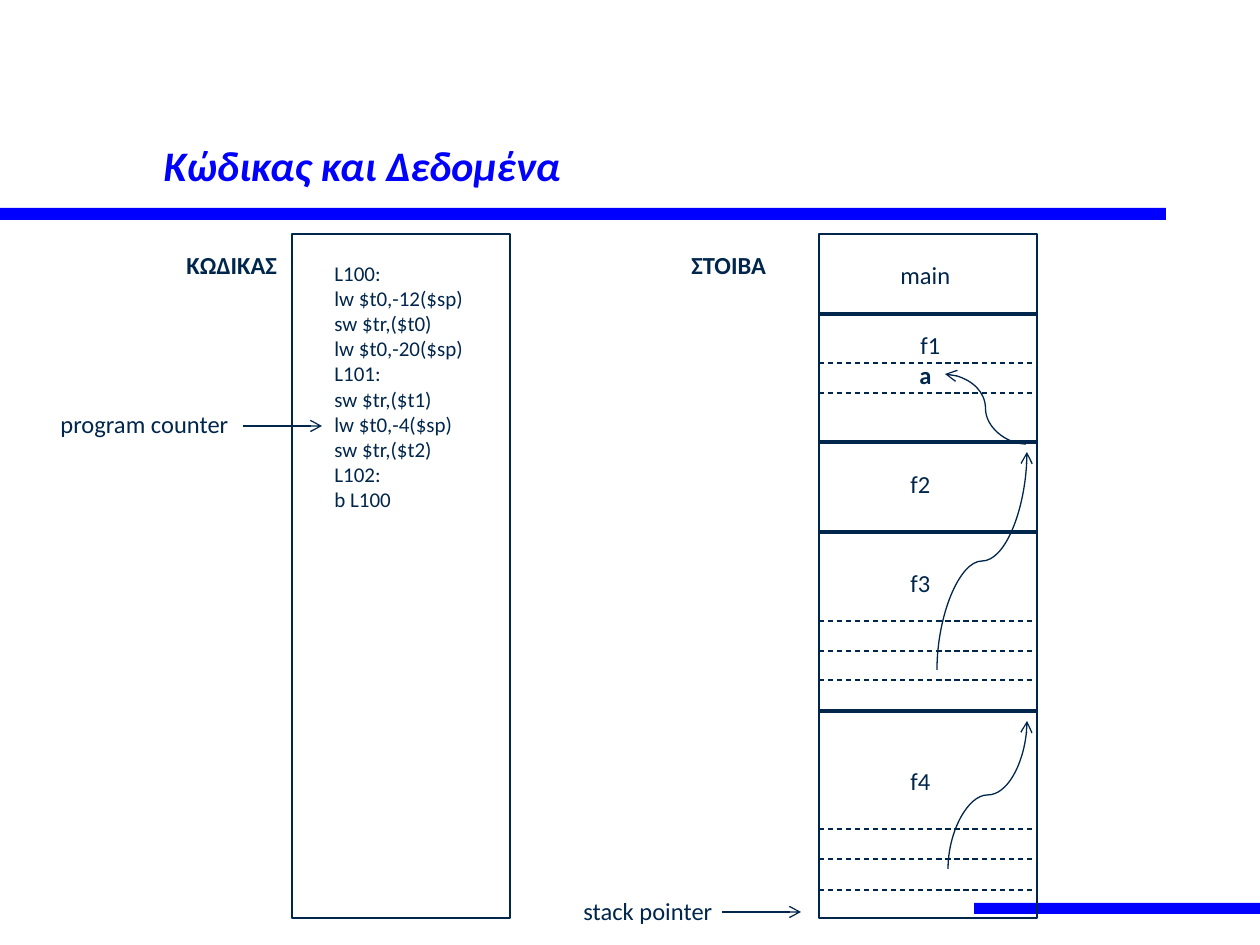
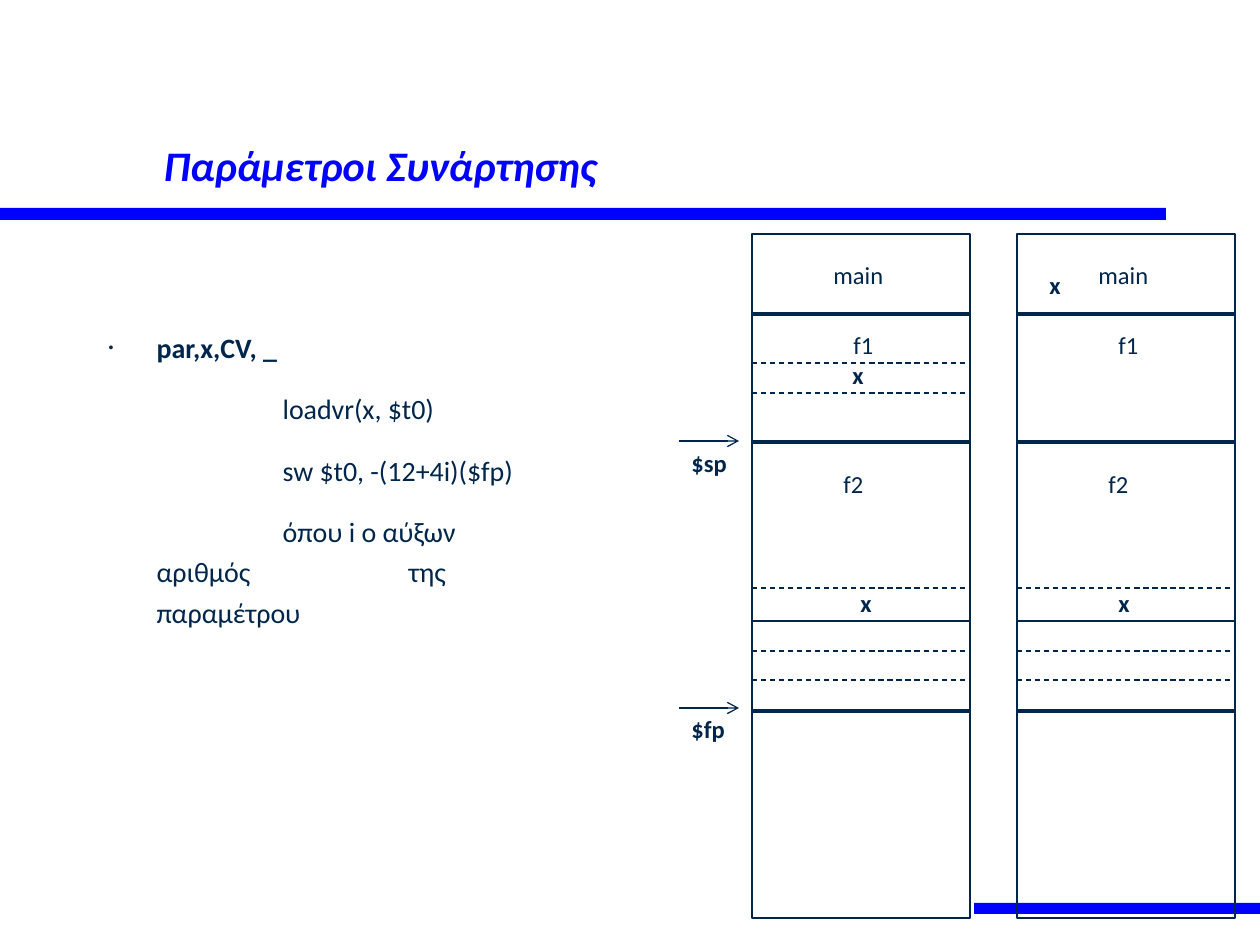
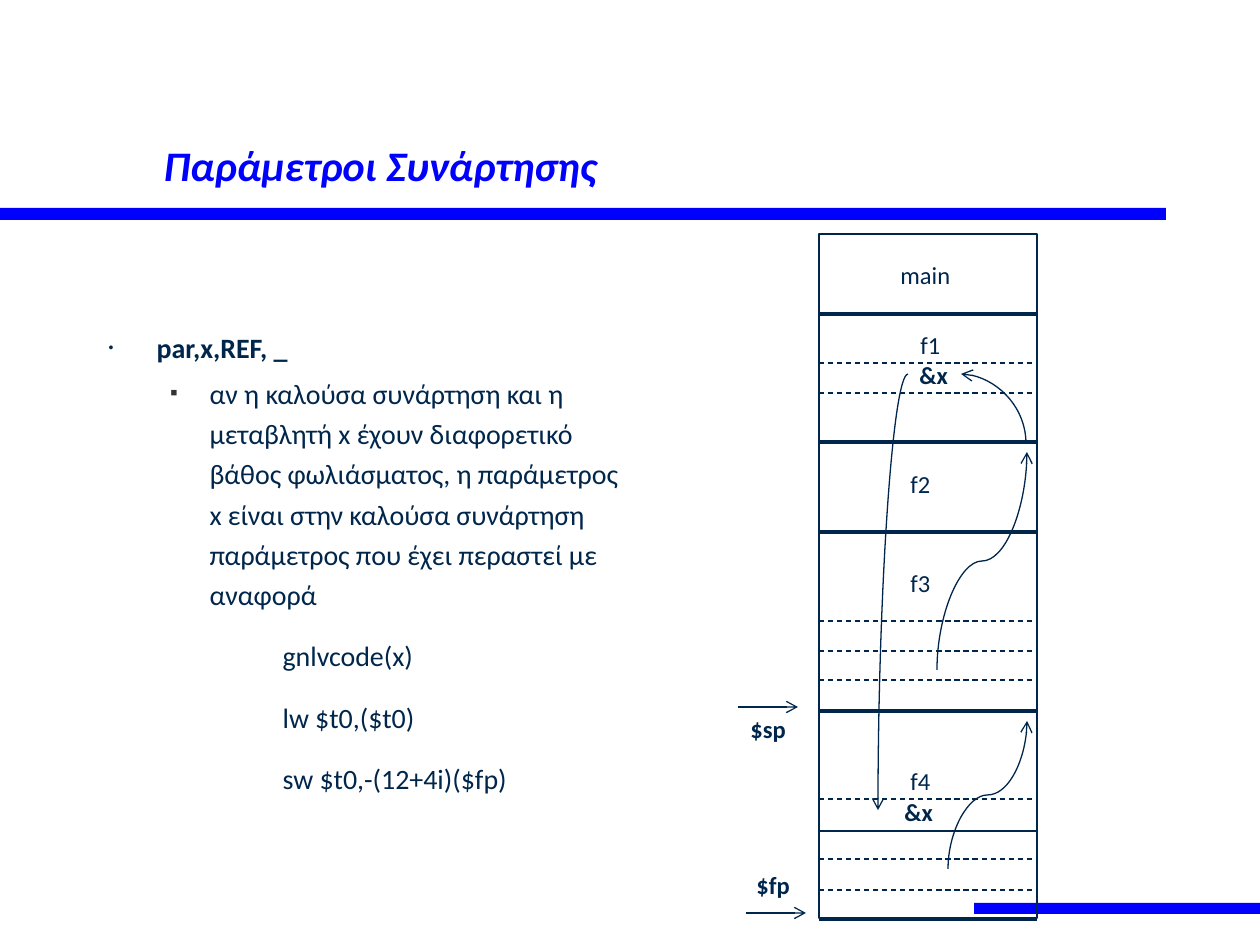
from pptx import Presentation
from pptx import util as u
from pptx.dml import color
from pptx.enum import dml, shapes, text
from pptx.oxml import ns
from lxml import etree

SCALE = 914400 / 126
INK, BLUE, GREY = "00264C", "0000FF", "333333"
TITLE = {"size": u.Pt(24), "bold": True, "italic": True, "name": "Calibri"}
LABEL = {"size": u.Pt(14), "name": "Calibri"}
CODE = {"size": u.Pt(12), "name": "Calibri"}
BODY = {"size": u.Pt(16), "name": "Calibri"}
COLUMN_TOP, COLUMN_WIDTH, COLUMN_HEIGHT = 234, 218, 684
MAIN_STACK = 819
LABEL_SPOTS = {"main": (69, 254, 76), "f1": (89, 324, 45), "f2": (79, 463, 45),
               "f3": (79, 562, 45), "f4": (79, 760, 45)}


def px(*values):
    return [u.Emu(round(v * SCALE)) for v in values]


def rgb(value):
    return color.RGBColor.from_string(value)


def sub(parent, tag, **attrs):
    return etree.SubElement(parent, ns.qn(tag), attrs)


def style(font, values, ink=INK, **extra):
    for name, value in {**values, **extra}.items():
        setattr(font, name, value)
    font.color.rgb = rgb(ink)


def place(sp, *box):
    sp.left, sp.top, sp.width, sp.height = px(*box)


def rect(s, *box, fill=None):
    sp = s.shapes.add_shape(shapes.MSO_SHAPE.RECTANGLE, *px(*box))
    sp.shadow.inherit = False
    if fill:
        sp.fill.solid()
        sp.fill.fore_color.rgb = rgb(fill)
        sp.line.fill.background()
    else:
        sp.fill.background()
        sp.line.color.rgb = rgb(INK)
        sp.line.width = u.Pt(0.75)
    return sp


def label(s, content, x, y, w, h=43, wrap=False, fmt=LABEL, bold=False):
    tf = s.shapes.add_textbox(*px(x, y, w, h)).text_frame
    tf.word_wrap = wrap
    tf.auto_size = text.MSO_AUTO_SIZE.SHAPE_TO_FIT_TEXT
    for i, line_text in enumerate(content.split("\n")):
        p = tf.paragraphs[0] if i == 0 else tf.add_paragraph()
        r = p.add_run()
        r.text = line_text
        style(r.font, fmt, bold=bold)


def line(s, x1, y1, x2, y2, width=0.75, dashed=False, arrow=False,
         kind=shapes.MSO_CONNECTOR.STRAIGHT):
    c = s.shapes.add_connector(kind, *px(x1, y1, x2, y2))
    c.line.color.rgb = rgb(INK)
    c.line.width = u.Pt(width)
    if dashed:
        c.line.dash_style = dml.MSO_LINE.DASH
    if arrow:
        sub(c.line._get_or_add_ln(), "a:tailEnd", type="arrow")
    sub(c._element.spPr, "a:effectLst")
    return c


def curve(s, x1, y1, x2, y2, rot, flips=(), preset="curvedConnector3"):
    cx, cy = (x1 + x2) / 2, (y1 + y2) / 2
    w, h = abs(x2 - x1), abs(y2 - y1)
    if rot % 180:
        w, h = h, w
    c = line(s, cx - w / 2, cy - h / 2, cx + w / 2, cy + h / 2,
             arrow=True, kind=shapes.MSO_CONNECTOR.CURVE)
    xfrm = c._element.spPr.find(ns.qn("a:xfrm"))
    xfrm.set("rot", str(rot * 60000))
    for flip in flips:
        xfrm.set(flip, "1")
    c._element.spPr.find(ns.qn("a:prstGeom")).set("prst", preset)


def access_links(s):
    for ends in ((948, 869, 1027, 721), (937, 670, 1027, 452)):
        curve(s, *ends, rot=90, flips=("flipH", "flipV"))


def stack(s, left, names, thick, dashed, thin=()):
    rect(s, left, COLUMN_TOP, COLUMN_WIDTH, COLUMN_HEIGHT)
    for rows, fmt in ((thick, {"width": 2}), (dashed, {"dashed": True}), (thin, {})):
        for y in rows:
            line(s, left, y, left + COLUMN_WIDTH, y, **fmt)
    for name in names:
        x, y, w = LABEL_SPOTS[name]
        label(s, name, left + x, y, w)


def pointer(s, name, x, y, text_x, text_y, text_w):
    line(s, x, y, x + 60, y, arrow=True)
    label(s, name, text_x, text_y, text_w, bold=True)


def bands(prs, s):
    tree = prs.slide_master.shapes._spTree
    for i, box in enumerate(((0, 208, 1166, 12), (974, 903, 286, 11))):
        tree.insert(2 + i, rect(s, *box, fill=BLUE)._element)


def new_slide(prs, layout, heading):
    s = prs.slides.add_slide(prs.slide_layouts[layout])
    sp = s.shapes.title
    place(sp, 151, 38, 1071, 158)
    tf = sp.text_frame
    tf.vertical_anchor = text.MSO_ANCHOR.BOTTOM
    tf.auto_size = text.MSO_AUTO_SIZE.NONE
    p = tf.paragraphs[0]
    p.alignment = text.PP_ALIGN.LEFT
    r = p.add_run()
    r.text = heading
    style(r.font, TITLE, BLUE)
    return s


def paragraph_format(p, margin, indent, bullet=None, size=50, ink=INK):
    pPr = p._p.get_or_add_pPr()
    for name, value in zip(("marL", "indent", "defTabSz"), px(margin, indent, 126)):
        pPr.set(name, str(value))
    if bullet:
        sub(sub(pPr, "a:buClr"), "a:srgbClr", val=ink)
        sub(pPr, "a:buSzPct", val=str(size * 1000))
        sub(pPr, "a:buChar", char=bullet)
    else:
        sub(pPr, "a:buNone")


def body(s, width, items):
    sp = s.placeholders[1]
    place(sp, 95, 262, width, 577)
    tf = sp.text_frame
    tf.auto_size = text.MSO_AUTO_SIZE.NONE
    tf.margin_top = px(62)[0]
    for i, (role, content) in enumerate(items):
        p = tf.paragraphs[0] if i == 0 else tf.add_paragraph()
        p.line_spacing = 1.2
        p.space_before = u.Pt({"head": 0, "sub": 3, "code": 12}[role])
        if role == "head":
            paragraph_format(p, 49, -48, "•")
        elif role == "sub":
            p.level = 1
            paragraph_format(p, 102, -39, "■", 40, GREY)
        else:
            paragraph_format(p, 49, 126)
        r = p.add_run()
        r.text = content
        style(r.font, BODY, bold=role == "head")


def code_and_data(prs):
    s = new_slide(prs, 5, "Κώδικας και Δεδομένα")
    bands(prs, s)
    stack(s, MAIN_STACK, LABEL_SPOTS, (314, 442, 532, 711),
          (363, 393, 621, 651, 680, 829, 859, 890))
    access_links(s)
    curve(s, 1026, 444, 945, 374, rot=180)
    label(s, "a", 907, 354, 38, bold=True)
    label(s, "ΣΤΟΙΒΑ", 679, 244, 101, bold=True)
    line(s, 722, 912, 801, 912, arrow=True)
    label(s, "stack pointer", 571, 890, 179, wrap=True)
    rect(s, 292, COLUMN_TOP, COLUMN_WIDTH, COLUMN_HEIGHT)
    label(s, "ΚΩΔΙΚΑΣ", 174, 244, 117, bold=True)
    label(s, "L100:\nlw $t0,-12($sp)\nsw $tr,($t0)\nlw $t0,-20($sp)\nL101:\n"
          "sw $tr,($t1)\nlw $t0,-4($sp)\nsw $tr,($t2)\nL102:\nb L100",
          322, 254, 155, 297, fmt=CODE)
    line(s, 243, 426, 322, 426, arrow=True)
    label(s, "program counter", 48, 403, 205, wrap=True)


def by_value(prs):
    s = new_slide(prs, 1, "Παράμετροι Συνάρτησης")
    body(s, 466, [("head", "par,x,CV, _"),
                  ("code", "loadvr(x, $t0)"),
                  ("code", "sw $t0, -(12+4i)($fp)"),
                  ("code", "όπου i ο αύξων αριθμός \t\tτης παραμέτρου")])
    for left, local_rows in ((752, (363, 393)), (1017, ())):
        stack(s, left, ("main", "f1", "f2"), (314, 442, 711),
              (588, 651, 680, *local_rows), (621,))
    for x, y in ((840, 354), (1037, 264), (848, 582), (1106, 582)):
        label(s, "x", x, y, 37, bold=True)
    pointer(s, "$sp", 679, 441, 679, 442, 64)
    pointer(s, "$fp", 679, 708, 679, 708, 60)


def by_reference(prs):
    s = new_slide(prs, 1, "Παράμετροι Συνάρτησης")
    body(s, 546, [("head", "par,x,REF, _"),
                  ("sub", "αν η καλούσα συνάρτηση και η μεταβλητή x έχουν "
                          "διαφορετικό βάθος φωλιάσματος, η παράμετρος x είναι "
                          "στην καλούσα συνάρτηση παράμετρος που έχει περαστεί "
                          "με αναφορά"),
                  ("code", "gnlvcode(x)"),
                  ("code", "lw $t0,($t0)"),
                  ("code", "sw $t0,-(12+4i)($fp)")])
    stack(s, MAIN_STACK, LABEL_SPOTS, (314, 442, 532, 711, 919),
          (363, 393, 621, 651, 680, 799, 859, 890), (831,))
    access_links(s)
    curve(s, 1026, 444, 961, 374, 270, ("flipV",), "curvedConnector2")
    curve(s, 908, 374, 878, 810, 180, ("flipV",), "curvedConnector2")
    label(s, "&x", 907, 354, 54, bold=True)
    label(s, "&x", 892, 791, 54, bold=True)
    pointer(s, "$sp", 738, 707, 738, 708, 64)
    pointer(s, "$fp", 746, 913, 744, 864, 60)


def main():
    prs = Presentation()
    prs.slide_width, prs.slide_height = px(1260, 945)
    code_and_data(prs)
    by_value(prs)
    by_reference(prs)
    prs.save("out.pptx")


main()
